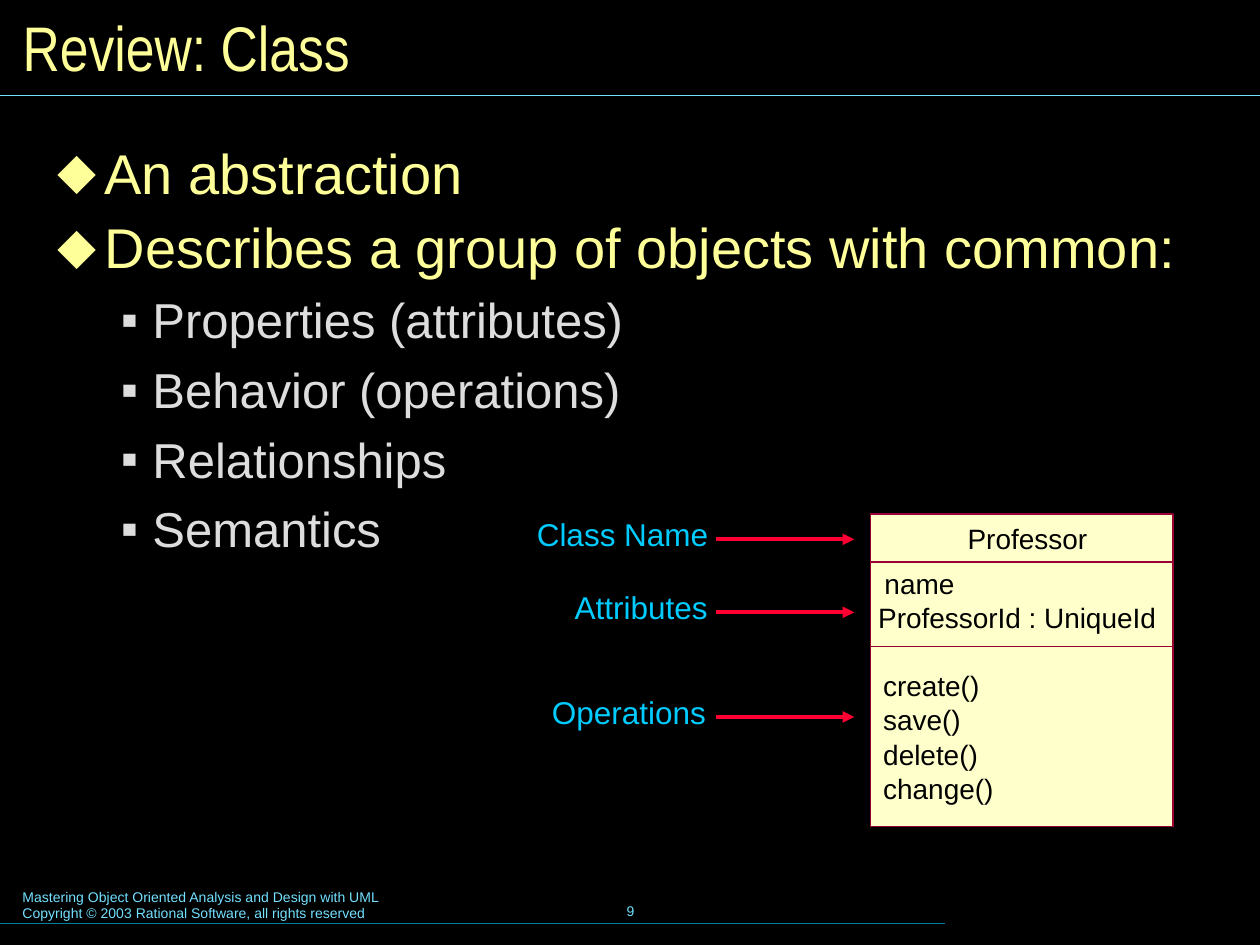
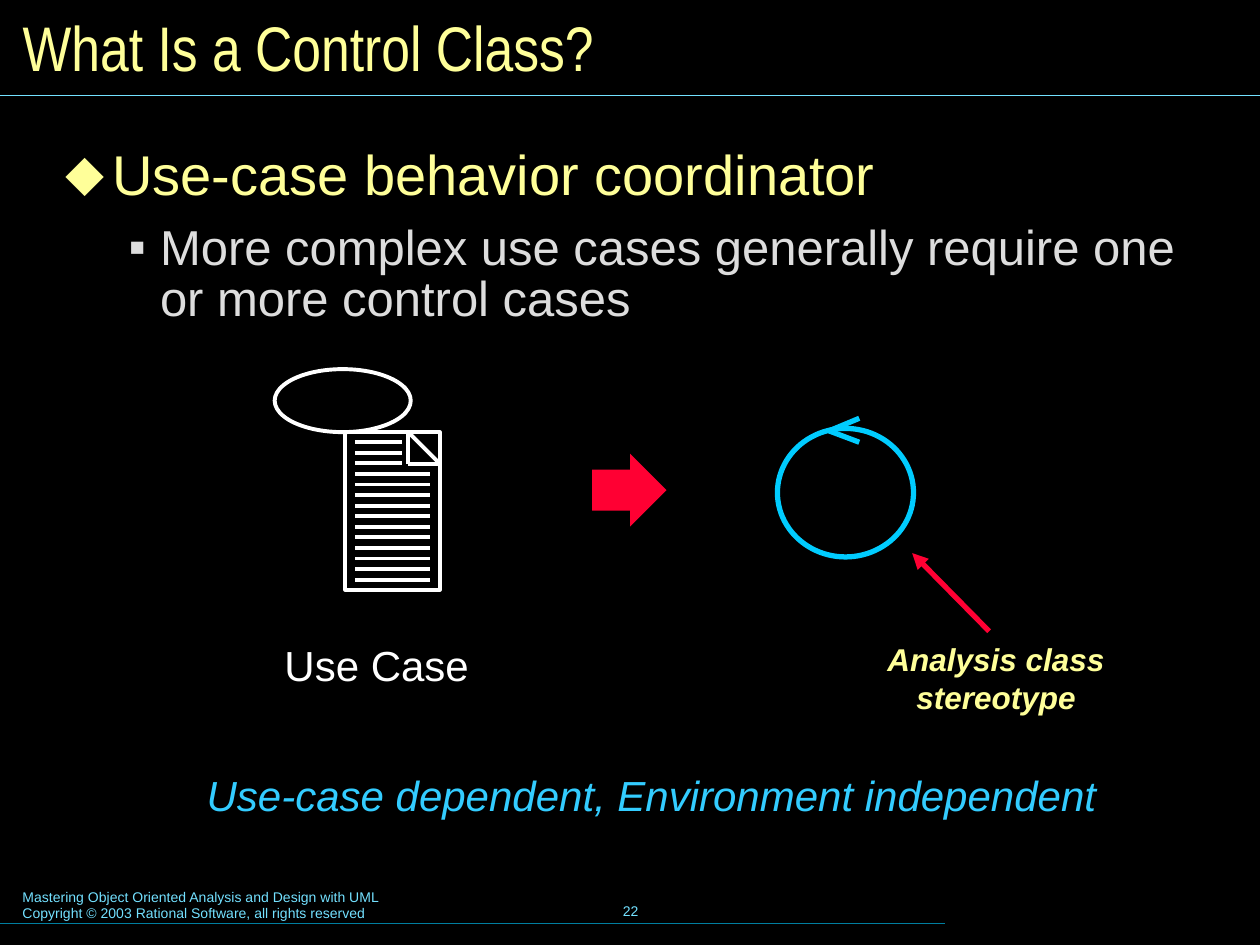
from dataclasses import dataclass

from lxml.etree import SubElement
from pptx import Presentation
from pptx.dml.color import RGBColor
from pptx.enum.shapes import MSO_CONNECTOR, MSO_SHAPE
from pptx.enum.text import MSO_ANCHOR, MSO_AUTO_SIZE, PP_ALIGN
from pptx.oxml.ns import qn
from pptx.shapes.autoshape import Shape
from pptx.shapes.connector import Connector
from pptx.shapes.shapetree import GroupShapes, SlideShapes
from pptx.slide import Slide
from pptx.text.text import TextFrame
from pptx.util import Inches, Pt

BLACK = RGBColor(0x00, 0x00, 0x00)
WHITE = RGBColor(0xFF, 0xFF, 0xFF)
YELLOW = RGBColor(0xFF, 0xFF, 0x99)
CREAM = RGBColor(0xFF, 0xFF, 0xCC)
GREY = RGBColor(0xDD, 0xDD, 0xDD)
PALE_BLUE = RGBColor(0x73, 0xE1, 0xFF)
DARK_TEAL = RGBColor(0x00, 0x7E, 0x9F)
CYAN = RGBColor(0x00, 0xCC, 0xFF)
SKY_BLUE = RGBColor(0x33, 0xCC, 0xFF)
RED = RGBColor(0xFF, 0x00, 0x33)
MAROON = RGBColor(0x99, 0x00, 0x33)

BODY_FONT = "Arial"
TITLE_FONT = "Arial Narrow"
FOOTER = (
    "Mastering Object Oriented Analysis and Design with UML\n"
    "Copyright © 2003 Rational Software, all rights reserved"
)
TITLE_ONLY = 5

Point = tuple[float, float]
Area = tuple[float, float, float, float]
Shapes = SlideShapes | GroupShapes


@dataclass(frozen=True)
class TextStyle:
    size: float
    color: RGBColor
    font: str = BODY_FONT
    bold: bool = False
    italic: bool = False
    align: PP_ALIGN = PP_ALIGN.LEFT
    anchor: MSO_ANCHOR = MSO_ANCHOR.TOP
    inset: Point = (0.1, 0.05)
    wrap: bool = True


@dataclass(frozen=True)
class BulletLevel:
    mark: str
    color: RGBColor
    size: float
    margin: float
    hanging: float
    line_spacing: float
    space_before: float


@dataclass(frozen=True)
class Bullet:
    text: str
    level: int = 0


@dataclass(frozen=True)
class Label:
    text: str
    left: float
    top: float
    width: float


LEVELS = (
    BulletLevel("⬥", YELLOW, 32, 0.37, 0.37, 0.8, 12),
    BulletLevel("▪", GREY, 28, 0.75, 0.25, 0.87, 10.5),
)
WIDE_INSET = (0.12, 0.06)

TITLE_STYLE = TextStyle(36, YELLOW, TITLE_FONT, anchor=MSO_ANCHOR.MIDDLE)
FOOTER_STYLE = TextStyle(8, PALE_BLUE)
NUMBER_STYLE = TextStyle(8, PALE_BLUE, align=PP_ALIGN.CENTER, anchor=MSO_ANCHOR.MIDDLE, wrap=False)
PART_STYLE = TextStyle(18, CYAN, inset=WIDE_INSET)
MEMBER_STYLE = TextStyle(16, BLACK, inset=(0, 0), wrap=False)
USE_CASE_STYLE = TextStyle(24, WHITE, align=PP_ALIGN.CENTER, wrap=False)
STEREOTYPE_STYLE = TextStyle(18, YELLOW, bold=True, italic=True, align=PP_ALIGN.CENTER, inset=WIDE_INSET)
SUMMARY_STYLE = TextStyle(24, SKY_BLUE, italic=True, align=PP_ALIGN.CENTER)

CLASS_PARTS = (
    Label("Class Name", 4.14, 4.03, 1.62),
    Label("Attributes", 4.44, 4.61, 1.32),
    Label("Operations", 4.26, 5.44, 1.5),
)
OPERATIONS = (("create()", 0.76), ("save()", 0.62), ("delete()", 0.75), ("change()", 0.88))
CLASS_MEMBERS = (
    Label("Professor", 7.68, 4.14, 0.95),
    Label("name", 7.02, 4.5, 0.56),
    Label("ProfessorId : UniqueId", 6.97, 4.77, 2.21),
    *(Label(text, 7.01, 5.31 + 0.27 * row, width) for row, (text, width) in enumerate(OPERATIONS)),
)


def set_frame(frame: TextFrame, inset: Point, anchor: MSO_ANCHOR, wrap: bool) -> None:
    frame.word_wrap = wrap
    frame.auto_size = MSO_AUTO_SIZE.NONE
    frame.vertical_anchor = anchor
    frame.margin_left = frame.margin_right = Inches(inset[0])
    frame.margin_top = frame.margin_bottom = Inches(inset[1])


def set_text(frame: TextFrame, text: str, style: TextStyle) -> None:
    set_frame(frame, style.inset, style.anchor, style.wrap)
    frame.text = text
    for para in frame.paragraphs:
        para.alignment = style.align
        for span in para.runs:
            span.font.name = style.font
            span.font.size = Pt(style.size)
            span.font.bold = style.bold
            span.font.italic = style.italic
            span.font.color.rgb = style.color


def add_text(slide: Slide, text: str, area: Area, style: TextStyle) -> None:
    box = slide.shapes.add_textbox(*map(Inches, area))
    set_text(box.text_frame, text, style)


def add_line(shapes: Shapes, start: Point, end: Point, color: RGBColor,
             width: float, arrow: bool = False) -> Connector:
    line = shapes.add_connector(MSO_CONNECTOR.STRAIGHT, *map(Inches, (*start, *end)))
    line.line.color.rgb = color
    line.line.width = Pt(width)
    if arrow:
        SubElement(line.line._get_or_add_ln(), qn("a:tailEnd"), type="triangle")
    SubElement(line._element.spPr, qn("a:effectLst"))
    return line


def add_figure(shapes: Shapes, kind: MSO_SHAPE, area: Area, fill: RGBColor | None = None,
               outline: RGBColor | None = None, width: float = 0) -> Shape:
    figure = shapes.add_shape(kind, *map(Inches, area))
    figure.shadow.inherit = False
    if fill is None:
        figure.fill.background()
    else:
        figure.fill.solid()
        figure.fill.fore_color.rgb = fill
    if outline is None:
        figure.line.fill.background()
    else:
        figure.line.color.rgb = outline
        figure.line.width = Pt(width)
    return figure


def add_bullets(slide: Slide, area: Area, bullets: tuple[Bullet, ...]) -> None:
    frame = slide.shapes.add_textbox(*map(Inches, area)).text_frame
    set_frame(frame, WIDE_INSET, MSO_ANCHOR.TOP, True)
    frame.text = "\n".join(bullet.text for bullet in bullets)
    for index, (para, bullet) in enumerate(zip(frame.paragraphs, bullets)):
        level = LEVELS[bullet.level]
        para.level = bullet.level
        para.line_spacing = level.line_spacing
        para.space_before = Pt(level.space_before if index else 0)
        properties = para._p.get_or_add_pPr()
        properties.set("marL", str(Inches(level.margin)))
        properties.set("indent", str(-Inches(level.hanging)))
        mark_color = SubElement(properties, qn("a:buClr"))
        SubElement(mark_color, qn("a:srgbClr"), val=str(level.color))
        SubElement(properties, qn("a:buFont"), typeface=BODY_FONT)
        SubElement(properties, qn("a:buChar"), char=level.mark)
        for span in para.runs:
            span.font.name = BODY_FONT
            span.font.size = Pt(level.size)
            span.font.color.rgb = level.color


def add_page(deck: Presentation, title: str, number: int) -> Slide:
    """Add a slide with the shared background, title, rules and footer."""
    page = deck.slides.add_slide(deck.slide_layouts[TITLE_ONLY])
    page.background.fill.solid()
    page.background.fill.fore_color.rgb = BLACK
    heading = page.shapes.title
    heading.left, heading.top, heading.width, heading.height = map(Inches, (0.08, 0.08, 9.84, 0.58))
    set_text(heading.text_frame, title, TITLE_STYLE)
    add_text(page, FOOTER, (0.08, 7, 5.1, 0.37), FOOTER_STYLE)
    add_text(page, str(number), (3.42, 6.98, 3.17, 0.5), NUMBER_STYLE)
    add_line(page.shapes, (0, 7.33), (7.5, 7.33), DARK_TEAL, 0.75)
    add_line(page.shapes, (0, 0.76), (10, 0.76), PALE_BLUE, 0.75)
    return page


def add_class_diagram(page: Slide) -> None:
    for part in CLASS_PARTS:
        add_text(page, part.text, (part.left, part.top, part.width, 0.42), PART_STYLE)
        arrow_y = part.top + 0.25
        add_line(page.shapes, (5.68, arrow_y), (6.78, arrow_y), RED, 2.25, arrow=True)
    bottom = 6.56
    for top, fill in ((4.08, CREAM), (4.46, None), (5.13, None)):
        add_figure(page.shapes, MSO_SHAPE.RECTANGLE, (6.91, top, 2.4, bottom - top), fill, MAROON)
    for member in CLASS_MEMBERS:
        add_text(page, member.text, (member.left, member.top, member.width, 0.27), MEMBER_STYLE)


def add_use_case_icon(page: Slide) -> None:
    """Draw an oval with a written page that has a folded corner."""
    icon = page.shapes.add_group_shape().shapes
    add_figure(icon, MSO_SHAPE.OVAL, (2.18, 2.93, 1.08, 0.5), outline=WHITE, width=2.25)
    add_figure(icon, MSO_SHAPE.RECTANGLE, (2.74, 3.43, 0.75, 1.25), outline=WHITE, width=2.25)
    fold = ((3.24, 3.43), (3.49, 3.68), (3.24, 3.68))
    for start, end in zip(fold, fold[1:] + fold[:1]):
        add_line(icon, start, end, WHITE, 2.25)
    line_count, first_y, last_y = 14, 3.51, 4.6
    for row in range(line_count):
        y = first_y + row * (last_y - first_y) / (line_count - 1)
        right = 3.19 if row < 3 else 3.41
        add_line(icon, (2.82, y), (right, y), WHITE, 2.25)


def add_control_icon(page: Slide) -> None:
    """Draw a circle with an open arrowhead on top."""
    icon = page.shapes.add_group_shape().shapes
    add_figure(icon, MSO_SHAPE.OVAL, (6.17, 3.4, 1.08, 1.02), outline=CYAN, width=3)
    for y in (3.32, 3.51):
        add_line(icon, (6.82, y), (6.58, 3.42), CYAN, 3)


def build_class_review(deck: Presentation) -> None:
    page = add_page(deck, "Review: Class", 9)
    add_bullets(page, (0.34, 1.14, 9.29, 3.84), (
        Bullet("An abstraction"),
        Bullet("Describes a group of objects with common:"),
        Bullet("Properties (attributes)", 1),
        Bullet("Behavior (operations)", 1),
        Bullet("Relationships", 1),
        Bullet("Semantics", 1),
    ))
    add_class_diagram(page)


def build_control_class(deck: Presentation) -> None:
    page = add_page(deck, "What Is a Control Class?", 22)
    add_bullets(page, (0.4, 1.15, 9.29, 5.52), (
        Bullet("Use-case behavior coordinator"),
        Bullet("More complex use cases generally require one or more control cases", 1),
    ))
    add_use_case_icon(page)
    add_text(page, "Use Case", (2.16, 5.03, 1.66, 0.5), USE_CASE_STYLE)
    block_arrow = add_figure(page.shapes, MSO_SHAPE.RIGHT_ARROW, (4.7, 3.6, 0.59, 0.58), RED)
    block_arrow.adjustments[0] = 0.56
    block_arrow.adjustments[1] = 0.5
    add_control_icon(page)
    add_line(page.shapes, (7.85, 5.01), (7.24, 4.39), RED, 3, arrow=True)
    add_text(page, "Analysis class stereotype", (6.9, 5.02, 2.01, 0.72), STEREOTYPE_STYLE)
    add_text(page, "Use-case dependent, Environment independent", (1.42, 6.06, 7.5, 0.5), SUMMARY_STYLE)


def main() -> None:
    deck = Presentation()
    deck.slide_width = Inches(10)
    deck.slide_height = Inches(7.5)
    build_class_review(deck)
    build_control_class(deck)
    deck.save("out.pptx")


if __name__ == "__main__":
    main()
